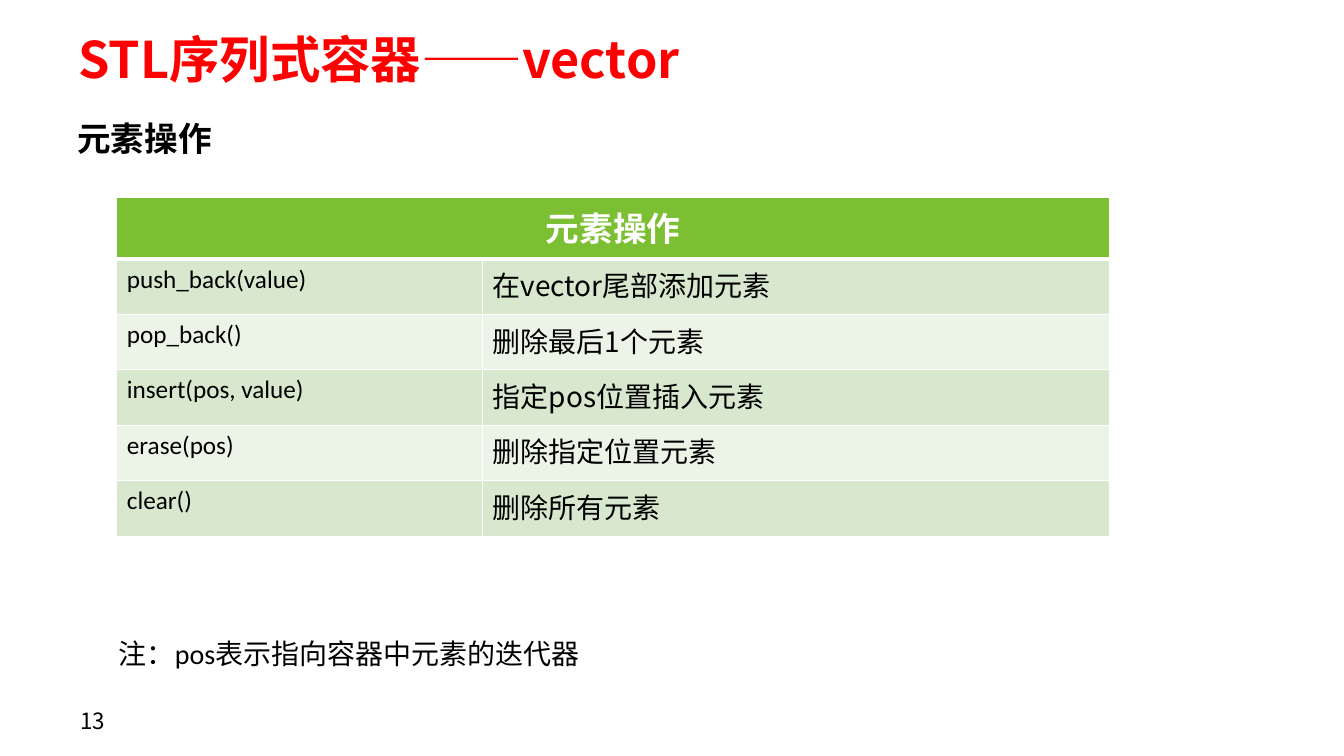
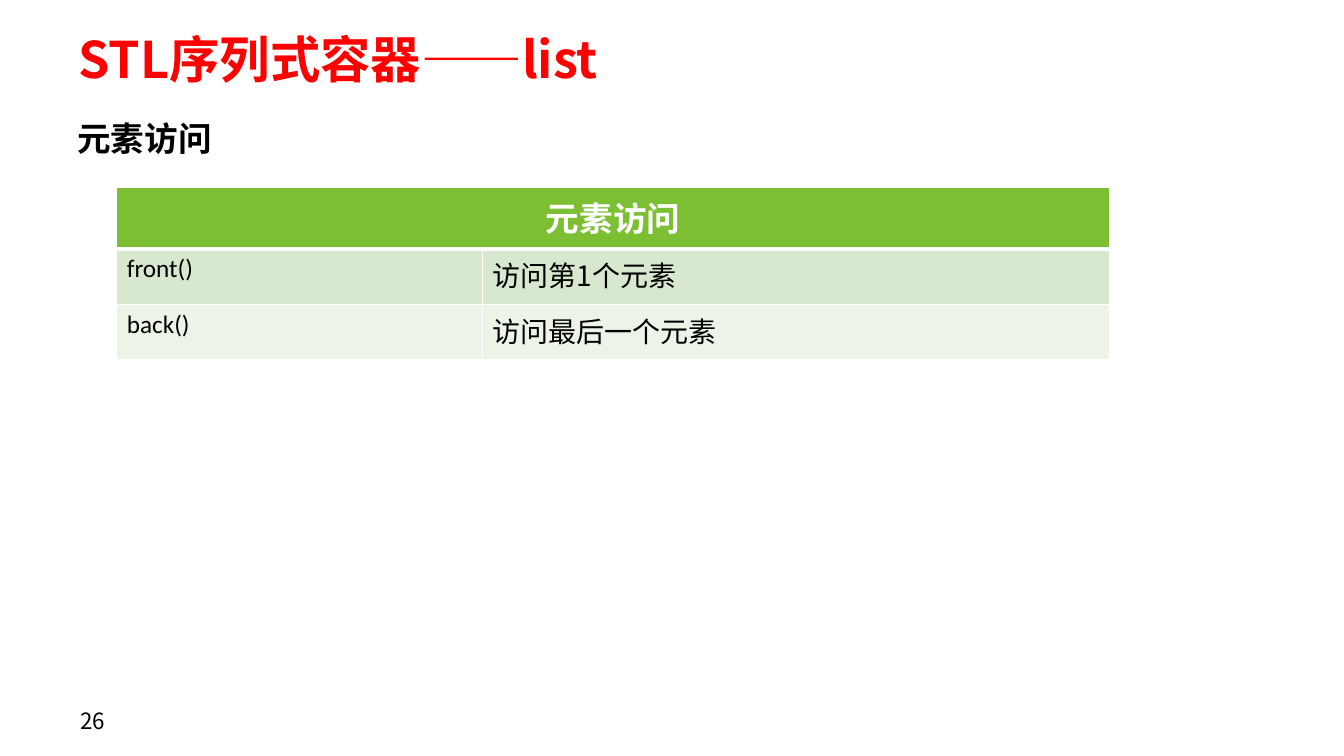
import lxml.etree
import pptx
import pptx.dml.color
import pptx.enum.text
import pptx.oxml.ns
import pptx.util

Inches = pptx.util.Inches
RGBColor = pptx.dml.color.RGBColor
Align = pptx.enum.text.PP_ALIGN
Anchor = pptx.enum.text.MSO_ANCHOR
AutoSize = pptx.enum.text.MSO_AUTO_SIZE
qn = pptx.oxml.ns.qn

RED = RGBColor(0xFF, 0x00, 0x00)
BLACK = RGBColor(0x00, 0x00, 0x00)
WHITE = RGBColor(0xFF, 0xFF, 0xFF)
GREEN = RGBColor(0x7C, 0xBF, 0x33)
BANDS = (RGBColor(0xD7, 0xE8, 0xCE), RGBColor(0xEC, 0xF4, 0xE8))

CJK = "Noto Sans CJK SC"
LATIN = "Calibri"

TITLE = {"size": 36, "bold": True, "color": RED}
HEADING = {"size": 24, "bold": True}
HEADER = {"size": 24, "bold": True, "color": WHITE, "name": LATIN}
CODE = {"size": 18, "name": LATIN}
BODY = {"size": 20}
BODY_LATIN = {"size": 20, "name": LATIN}
NUMBER = {"size": 16}

FRAME_INSETS = {"margin_left": Inches(0.13), "margin_right": Inches(0.13),
                "margin_top": Inches(0.07), "margin_bottom": Inches(0.07),
                "vertical_anchor": Anchor.MIDDLE, "word_wrap": True}
COLUMN_WIDTHS = (3.63, 6.22)
HEADER_HEIGHT, ROW_HEIGHT = 0.61, 0.55


class Deck:
    def __init__(self):
        self.presentation = pptx.Presentation()
        self.presentation.slide_width = Inches(13.34)
        self.presentation.slide_height = Inches(7.5)
        self.slide = None

    def start_slide(self, container, topic, number):
        """Add a slide with the shared title, page number and heading."""
        blank = self.presentation.slide_layouts[6]
        self.slide = self.presentation.slides.add_slide(blank)
        self.text((0.65, 0.28, 12.13, 0.59),
                  [(f"STL序列式容器——{container}", TITLE)], FRAME_INSETS)
        self.text((0.67, 6.95, 3.11, 0.4), [(str(number), NUMBER)], FRAME_INSETS)
        self.text((0.67, 1.12, 1.55, 0.5), [(topic, HEADING)],
                  {"word_wrap": False, "auto_size": AutoSize.SHAPE_TO_FIT_TEXT})

    def text(self, place, runs, frame_format, line_spacing=None):
        frame = self.slide.shapes.add_textbox(*map(Inches, place)).text_frame
        for attribute, value in frame_format.items():
            setattr(frame, attribute, value)
        paragraph = frame.paragraphs[0]
        paragraph.line_spacing = line_spacing
        for words, style in runs:
            self.run(paragraph, words, style)

    def run(self, paragraph, words, style):
        run = paragraph.add_run()
        run.text = words
        look = {"name": CJK, "bold": False, "color": BLACK, **style}
        run.font.color.rgb = look.pop("color")
        look["size"] = pptx.util.Pt(look["size"])
        for attribute, value in look.items():
            setattr(run.font, attribute, value)
        east_asian = lxml.etree.SubElement(run.font._element, qn("a:ea"))
        east_asian.set("typeface", CJK)

    def table(self, top, topic, operations):
        height = HEADER_HEIGHT + ROW_HEIGHT * len(operations)
        table = self.slide.shapes.add_table(
            len(operations) + 1, len(COLUMN_WIDTHS), Inches(1.16), Inches(top),
            Inches(sum(COLUMN_WIDTHS)), Inches(height)).table
        for column, width in zip(table.columns, COLUMN_WIDTHS):
            column.width = Inches(width)
        for index, row in enumerate(table.rows):
            row.height = Inches(ROW_HEIGHT if index else HEADER_HEIGHT)

        table.cell(0, 0).merge(table.cell(0, 1))
        self.cell(table.cell(0, 0), topic, HEADER, GREEN, bottom=3)
        self.cell(table.cell(0, 1), "", HEADER, GREEN, bottom=3)
        table.cell(0, 0).text_frame.paragraphs[0].alignment = Align.CENTER
        for index, operation in enumerate(operations, 1):
            band = BANDS[(index - 1) % len(BANDS)]
            for column, style in enumerate((CODE, BODY)):
                self.cell(table.cell(index, column), operation[column], style,
                          band, top=3 if index == 1 else 1)

    def cell(self, cell, words, style, fill, top=1, bottom=1):
        cell.fill.solid()
        cell.fill.fore_color.rgb = fill
        if words:
            self.run(cell.text_frame.paragraphs[0], words, style)
        properties = cell._tc.get_or_add_tcPr()
        borders = {"a:lnL": 1, "a:lnR": 1, "a:lnT": top, "a:lnB": bottom}
        for position, (side, width) in enumerate(borders.items()):
            line = lxml.etree.Element(qn(side), w=str(pptx.util.Pt(width)))
            solid = lxml.etree.SubElement(line, qn("a:solidFill"))
            lxml.etree.SubElement(solid, qn("a:srgbClr"), val=str(WHITE))
            properties.insert(position, line)


def main():
    deck = Deck()

    deck.start_slide("vector", "元素操作", 13)
    deck.table(1.96, "元素操作", [
        ("push_back(value)", "在vector尾部添加元素"),
        ("pop_back()", "删除最后1个元素"),
        ("insert(pos, value)", "指定pos位置插入元素"),
        ("erase(pos)", "删除指定位置元素"),
        ("clear()", "删除所有元素"),
    ])
    deck.text((1.08, 6.1, 7.01, 0.61),
              [("注：", BODY), ("pos", BODY_LATIN), ("表示指向容器中元素的迭代器", BODY)],
              {"word_wrap": True}, line_spacing=1.5)

    deck.start_slide("list", "元素访问", 26)
    deck.table(1.86, "元素访问", [
        ("front()", "访问第1个元素"),
        ("back()", "访问最后一个元素"),
    ])

    deck.presentation.save("out.pptx")


if __name__ == "__main__":
    main()
